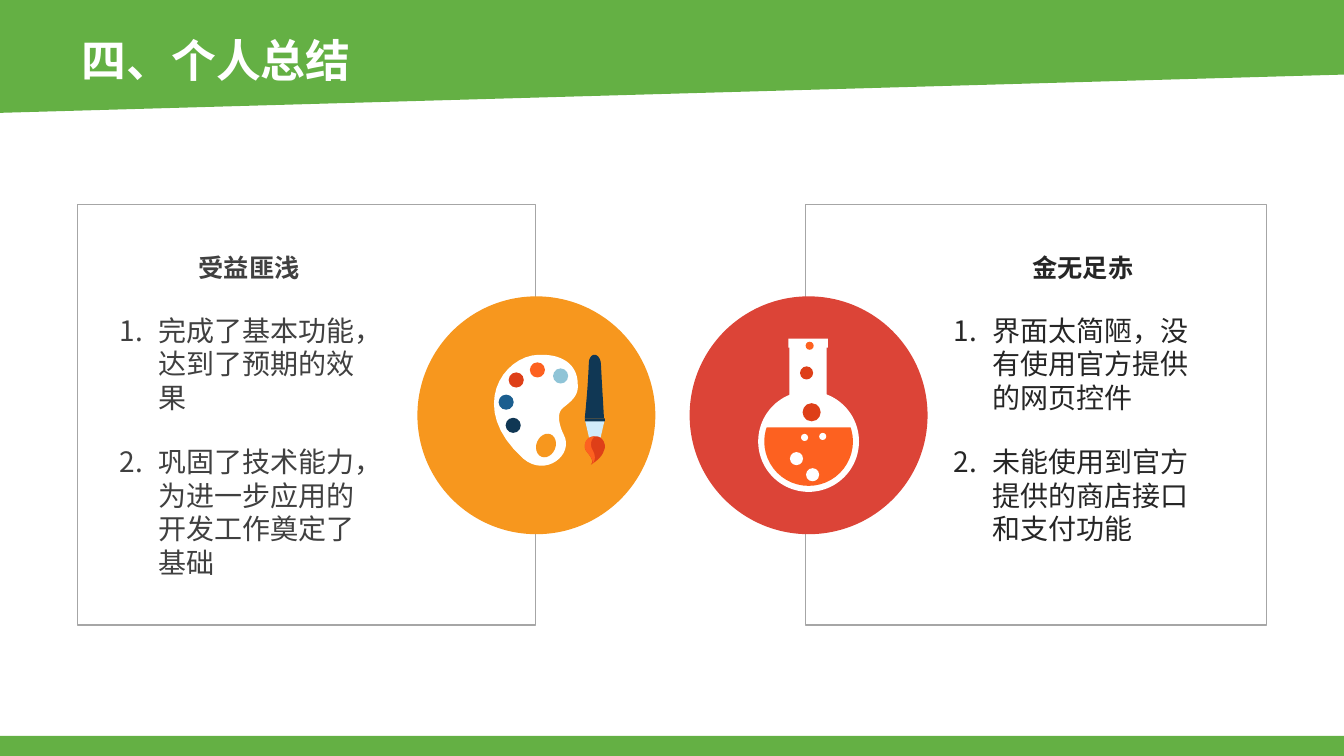
from dataclasses import dataclass

import lxml.etree
import pptx
import pptx.dml.color
import pptx.enum.shapes
import pptx.enum.text
import pptx.oxml.ns
import pptx.util

Inches = pptx.util.Inches
Pt = pptx.util.Pt
Kind = pptx.enum.shapes.MSO_SHAPE
Align = pptx.enum.text.PP_ALIGN
Point = tuple[float, float]

FONT = "Noto Sans CJK SC"
GREEN, ORANGE, RED, WHITE = "64B044", "F7971E", "DC4437", "FFFFFF"
NAVY, BLUE, SKY, ICE = "103754", "1B5E8F", "8FC4D7", "D1ECFB"
FLAME, RUST, GREY = "FD6120", "DE3F18", "A6A6A6"
LINE_HEIGHT = 1.2
DISC_TOP, DISC_SIZE = 2.94, 2.36


@dataclass
class Preset:
    left: float
    top: float
    width: float
    height: float
    fill: str | None
    kind: Kind = Kind.OVAL
    line: str | None = None
    rotation: float = 0


@dataclass
class Outline:
    fill: str
    start: Point
    segments: list[tuple[Point, ...]]


@dataclass
class Column:
    left: float
    height: float
    color: str
    heading: str
    items: list[str]


def dot(x: float, y: float, size: float, fill: str) -> Preset:
    return Preset(x - size / 2, y - size / 2, size, size, fill)


def bar(left: float, top: float, width: float, height: float, fill: str) -> Preset:
    return Preset(left, top, width, height, fill, Kind.RECTANGLE)


def panel(left: float, width: float) -> Preset:
    return Preset(left, 2.03, width, 4.17, None, Kind.RECTANGLE, GREY)


FRAME = [
    panel(0.77, 4.54),
    panel(7.99, 4.57),
    Outline(GREEN, (0, 0), [((13.33, 0),), ((13.33, 0.74),), ((-0.02, 1.12),)]),
    bar(0, 7.3, 13.33, 0.2, GREEN),
]

FLASK = [
    Preset(6.84, DISC_TOP, DISC_SIZE, DISC_SIZE, RED),
    dot(8.02, 4.38, 1, WHITE),
    bar(7.82, 3.36, 0.39, 0.09, WHITE),
    bar(7.83, 3.44, 0.37, 0.56, WHITE),
    dot(8.02, 4.38, 0.88, FLAME),
    Outline(WHITE, (7.57, 4.24), [
        ((7.64, 4.1), (7.75, 3.96), (7.89, 3.92)), ((8.14, 3.92),),
        ((8.28, 3.96), (8.39, 4.1), (8.46, 4.24))]),
    dot(7.9, 4.55, 0.13, WHITE),
    dot(7.98, 4.34, 0.07, WHITE),
    dot(8.06, 4.71, 0.13, WHITE),
    dot(8.16, 4.33, 0.07, WHITE),
    dot(8.05, 4.09, 0.18, RUST),
    dot(8, 3.7, 0.13, RUST),
    dot(8.03, 3.43, 0.08, FLAME),
]

PALETTE = [
    Preset(4.14, DISC_TOP, DISC_SIZE, DISC_SIZE, ORANGE),
    Outline(WHITE, (5.58, 4.05), [
        ((5.68, 3.97), (5.74, 3.92), (5.73, 3.81)),
        ((5.73, 3.66), (5.63, 3.51), (5.34, 3.52)),
        ((4.99, 3.53), (4.63, 4.05), (5.19, 4.55)),
        ((5.41, 4.74), (5.7, 4.51), (5.59, 4.31)),
        ((5.56, 4.25), (5.51, 4.11), (5.58, 4.05))]),
    Preset(5.32, 4.3, 0.19, 0.24, ORANGE, rotation=22),
    dot(5.56, 3.73, 0.15, SKY),
    dot(5.33, 3.67, 0.15, FLAME),
    dot(5.12, 3.77, 0.15, RUST),
    dot(5.02, 3.99, 0.15, BLUE),
    dot(5.09, 4.22, 0.15, NAVY),
]

BRUSH = [
    Outline(ICE, (5.95, 4.37), [
        ((5.94, 4.41), (5.86, 4.41), (5.85, 4.37)),
        ((5.83, 4.29), (5.82, 4.24), (5.8, 4.16)), ((6, 4.16),),
        ((5.98, 4.24), (5.97, 4.29), (5.95, 4.37))]),
    Outline(NAVY, (5.96, 3.61), [
        ((5.95, 3.49), (5.84, 3.49), (5.84, 3.61)),
        ((5.83, 3.82), (5.82, 3.95), (5.8, 4.15)), ((5.99, 4.15),),
        ((5.98, 3.95), (5.97, 3.82), (5.96, 3.61))]),
    bar(5.8, 4.15, 0.2, 0.03, NAVY),
    Outline(RUST, (5.82, 4.48), [
        ((5.84, 4.51), (5.9, 4.57), (5.86, 4.61)),
        ((5.86, 4.61), (5.97, 4.55), (5.99, 4.47)),
        ((6, 4.45), (6, 4.44), (6, 4.42)),
        ((5.99, 4.36), (5.95, 4.32), (5.89, 4.33)),
        ((5.84, 4.33), (5.8, 4.38), (5.8, 4.43)),
        ((5.8, 4.45), (5.81, 4.47), (5.82, 4.48))]),
    Outline(FLAME, (5.88, 4.47), [
        ((5.83, 4.38), (5.9, 4.33), (5.9, 4.33)),
        ((5.87, 4.33), (5.8, 4.34), (5.8, 4.43)),
        ((5.8, 4.45), (5.81, 4.47), (5.82, 4.48)),
        ((5.84, 4.51), (5.9, 4.57), (5.87, 4.61)),
        ((5.87, 4.61), (5.93, 4.56), (5.88, 4.47))]),
]

COLUMNS = [
    Column(1.09, 3.57, "404040", "受益匪浅", [
        "完成了基本功能，达到了预期的效果",
        "巩固了技术能力，为进一步应用的开发工作奠定了基础"]),
    Column(9.36, 3.28, "262626", "金无足赤", [
        "界面太简陋，没有使用官方提供的网页控件",
        "未能使用到官方提供的商店接口和支付功能"]),
]


def rgb(color: str) -> pptx.dml.color.RGBColor:
    return pptx.dml.color.RGBColor.from_string(color)


def curve(start: Point, segment: tuple[Point, ...], steps: int = 16) -> list[Point]:
    if len(segment) == 1:
        return list(segment)
    first, second, end = segment
    points = []
    for step in range(1, steps + 1):
        t = step / steps
        weights = ((1 - t) ** 3, 3 * t * (1 - t) ** 2, 3 * t * t * (1 - t), t ** 3)
        corners = (start, first, second, end)
        points.append(tuple(sum(w * c[axis] for w, c in zip(weights, corners))
                            for axis in (0, 1)))
    return points


def draw(page, item: Preset | Outline) -> None:
    if isinstance(item, Outline):
        points = [item.start]
        for segment in item.segments:
            points += curve(points[-1], segment)
        vertices = [(Inches(x), Inches(y)) for x, y in points]
        builder = page.shapes.build_freeform(*vertices[0])
        builder.add_line_segments(vertices[1:], close=True)
        shape, line = builder.convert_to_shape(), None
    else:
        shape = page.shapes.add_shape(item.kind, Inches(item.left), Inches(item.top),
                                      Inches(item.width), Inches(item.height))
        shape.rotation, line = item.rotation, item.line
    shape.shadow.inherit = False
    if item.fill:
        shape.fill.solid()
        shape.fill.fore_color.rgb = rgb(item.fill)
    else:
        shape.fill.background()
    if line:
        shape.line.color.rgb = rgb(line)
        shape.line.width = Pt(1)
    else:
        shape.line.fill.background()


def write(para, text: str, *, size: float, color: str, bold: bool = False,
          align: Align = Align.LEFT, before: float = 0, numbered: bool = False) -> None:
    para.alignment = align
    para.line_spacing = Pt(size * LINE_HEIGHT)
    para.space_before = Pt(before)
    para.space_after = Pt(0)
    qn = pptx.oxml.ns.qn
    properties = para._p.get_or_add_pPr()
    indent = Inches(0.38) if numbered else 0
    properties.set("marL", str(indent))
    properties.set("indent", str(-indent))
    if numbered:
        lxml.etree.SubElement(properties, qn("a:buFont"), typeface=FONT)
        lxml.etree.SubElement(properties, qn("a:buAutoNum"), type="arabicPeriod")
    else:
        lxml.etree.SubElement(properties, qn("a:buNone"))
    span = para.add_run()
    span.text = text
    span.font.name = FONT
    span.font.size = Pt(size)
    span.font.bold = bold
    span.font.color.rgb = rgb(color)
    lxml.etree.SubElement(span.font._element, qn("a:ea"), typeface=FONT)


def place(box, left: float, top: float, width: float, height: float, wrap: bool):
    box.left, box.top = Inches(left), Inches(top)
    box.width, box.height = Inches(width), Inches(height)
    box.element.getparent().append(box.element)
    frame = box.text_frame
    frame.word_wrap = wrap
    frame.auto_size = pptx.enum.text.MSO_AUTO_SIZE.NONE
    frame.vertical_anchor = pptx.enum.text.MSO_ANCHOR.TOP
    return frame


def main() -> None:
    deck = pptx.Presentation()
    deck.slide_width, deck.slide_height = Inches(13.33), Inches(7.5)
    page = deck.slides.add_slide(deck.slide_layouts.get_by_name("Two Content"))
    for item in FRAME + FLASK + PALETTE + BRUSH:
        draw(page, item)
    title = place(page.shapes.title, 0.71, 0.27, 2.89, 0.64, False)
    write(title.paragraphs[0], "四、个人总结", size=32, color=WHITE, bold=True)
    bodies = [box for box in page.placeholders if box.placeholder_format.idx > 0]
    for box, column in zip(bodies, COLUMNS):
        frame = place(box, column.left, 2.45, 2.76, column.height, True)
        write(frame.paragraphs[0], column.heading, size=18, color=column.color,
              bold=True, align=Align.CENTER)
        for text in column.items:
            write(frame.add_paragraph(), text, size=20, color=column.color,
                  before=22, numbered=True)
    deck.save("out.pptx")


if __name__ == "__main__":
    main()
